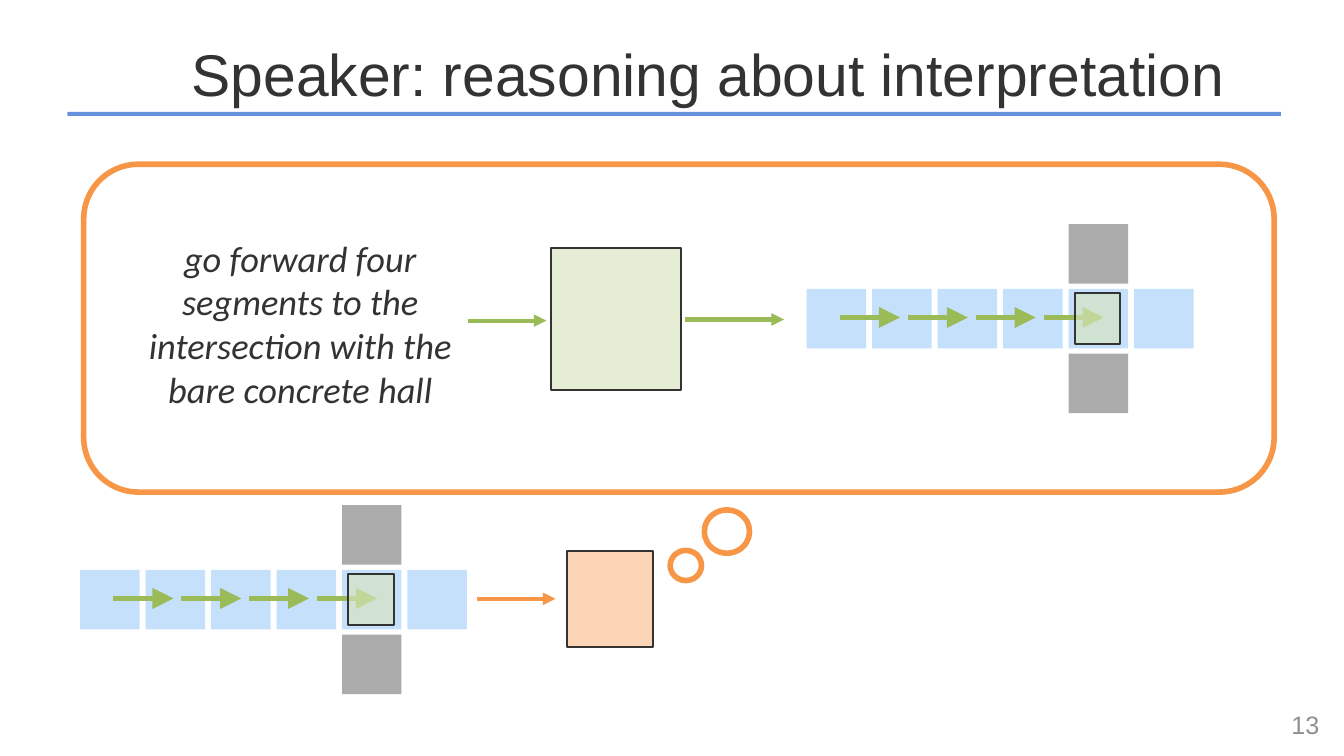
from lxml.etree import SubElement
from pptx import Presentation
from pptx.dml.color import RGBColor
from pptx.enum.shapes import MSO_CONNECTOR, MSO_SHAPE
from pptx.enum.text import MSO_ANCHOR, PP_ALIGN
from pptx.oxml.ns import qn
from pptx.util import Cm, Pt

INK, ORANGE, GREEN = "333333", "F79646", "9BBB59"
PALE_GREEN, PALE_ORANGE, BLUE, GREY = "D7E4BD", "FAC090", "A6D1FA", "808080"


def paint(shape, fill=None, line=None, width=1.5, opacity=100, head=None):
    """Set fill, outline and arrowhead, and switch off the theme shadow."""
    properties = shape._element.spPr
    if fill:
        shape.fill.solid()
        shape.fill.fore_color.rgb = RGBColor.from_string(fill)
        if opacity < 100:
            color = properties.find(qn("a:solidFill"))[0]
            SubElement(color, qn("a:alpha"), val=str(opacity * 1000))
    elif hasattr(shape, "fill"):
        shape.fill.background()
    if line:
        shape.line.color.rgb = RGBColor.from_string(line)
        shape.line.width = Pt(width)
    else:
        shape.line.fill.background()
    if head:
        SubElement(shape.line._get_or_add_ln(), qn("a:tailEnd"),
                   type="triangle", w=head, len=head)
    SubElement(properties, qn("a:effectLst"))


def add_text(text, left, top, width, height, size, color=INK, font="Arial",
             italic=False, align=PP_ALIGN.CENTER, anchor=MSO_ANCHOR.MIDDLE):
    box = slide.shapes.add_textbox(Cm(left), Cm(top), Cm(width), Cm(height))
    frame = box.text_frame
    frame.word_wrap = True
    frame.vertical_anchor = anchor
    paragraph = frame.paragraphs[0]
    paragraph.text = text
    paragraph.alignment = align
    paragraph.font.name = font
    paragraph.font.size = Pt(size)
    paragraph.font.italic = italic
    paragraph.font.color.rgb = RGBColor.from_string(color)


presentation = Presentation()
presentation.slide_width, presentation.slide_height = Cm(33.87), Cm(19.05)
slide = presentation.slides.add_slide(presentation.slide_layouts[6])

# Title with rule, and page number
rule = slide.shapes.add_shape(MSO_SHAPE.RECTANGLE, Cm(1.7), Cm(2.82), Cm(30.58), Cm(0.1))
paint(rule, fill="6692DC")
add_text("Speaker: reasoning about interpretation", 0.91, 0.86, 33.86, 1.98, 42)
add_text("13", 25.6, 17.75, 7.9, 1.02, 18, color="909090", align=PP_ALIGN.RIGHT)

# Thought bubble: large frame and two trailing circles
for preset, left, top, width, height in [
    (MSO_SHAPE.ROUNDED_RECTANGLE, 2.11, 4.14, 30, 8.26),
    (MSO_SHAPE.OVAL, 16.89, 13.87, 0.79, 0.76),
    (MSO_SHAPE.OVAL, 17.75, 12.85, 1.14, 1.09),
]:
    bubble = slide.shapes.add_shape(preset, Cm(left), Cm(top), Cm(width), Cm(height))
    paint(bubble, line=ORANGE, width=4)

# Instruction
add_text("go forward four segments to the intersection with the bare concrete hall",
         3, 5.82, 9.14, 4.7, 26, font="Calibri", italic=True, anchor=MSO_ANCHOR.TOP)

# Listener and speaker models
for left, top, width, height, fill in [
    (13.89, 6.25, 3.28, 3.58, PALE_GREEN),
    (14.3, 13.89, 2.16, 2.41, PALE_ORANGE),
]:
    model = slide.shapes.add_shape(MSO_SHAPE.RECTANGLE, Cm(left), Cm(top), Cm(width), Cm(height))
    paint(model, fill=fill, line=INK, opacity=66)

# Arrows between the stages
for start, end, y, color in [
    (11.79, 13.77, 8.08, GREEN),
    (17.27, 19.76, 8.05, GREEN),
    (12.01, 14, 15.09, ORANGE),
]:
    arrow = slide.shapes.add_connector(MSO_CONNECTOR.STRAIGHT, Cm(start), Cm(y), Cm(end), Cm(y))
    paint(arrow, line=color, width=3, head="med")

# Corridor maps: six tiles, a crossing hall, four steps and the goal
TILE, TILE_PITCH, HALL_PITCH, STEP, STEP_PITCH = 1.5, 1.65, 1.63, 1.51, 1.71
tiles = [(column * TILE_PITCH, 0, BLUE) for column in range(6)]
tiles += [(4 * TILE_PITCH, side * HALL_PITCH, GREY) for side in (-1, 1)]
for map_left, map_top in [(20.33, 7.28), (2.02, 14.36)]:
    corridor = slide.shapes.add_group_shape()
    for x, y, fill in tiles:
        tile = corridor.shapes.add_shape(MSO_SHAPE.RECTANGLE, Cm(map_left + x),
                                         Cm(map_top + y), Cm(TILE), Cm(TILE))
        paint(tile, fill=fill, opacity=66)
    for index in range(4):
        start, y = map_left + 0.84 + index * STEP_PITCH, map_top + 0.72
        step = corridor.shapes.add_connector(MSO_CONNECTOR.STRAIGHT, Cm(start), Cm(y),
                                             Cm(start + STEP), Cm(y))
        paint(step, line=GREEN, width=3, head="lg")
    goal = corridor.shapes.add_shape(MSO_SHAPE.RECTANGLE, Cm(map_left + 6.76),
                                     Cm(map_top + 0.1), Cm(1.14), Cm(1.28))
    paint(goal, fill=PALE_GREEN, line=INK, opacity=66)

presentation.save("out.pptx")
